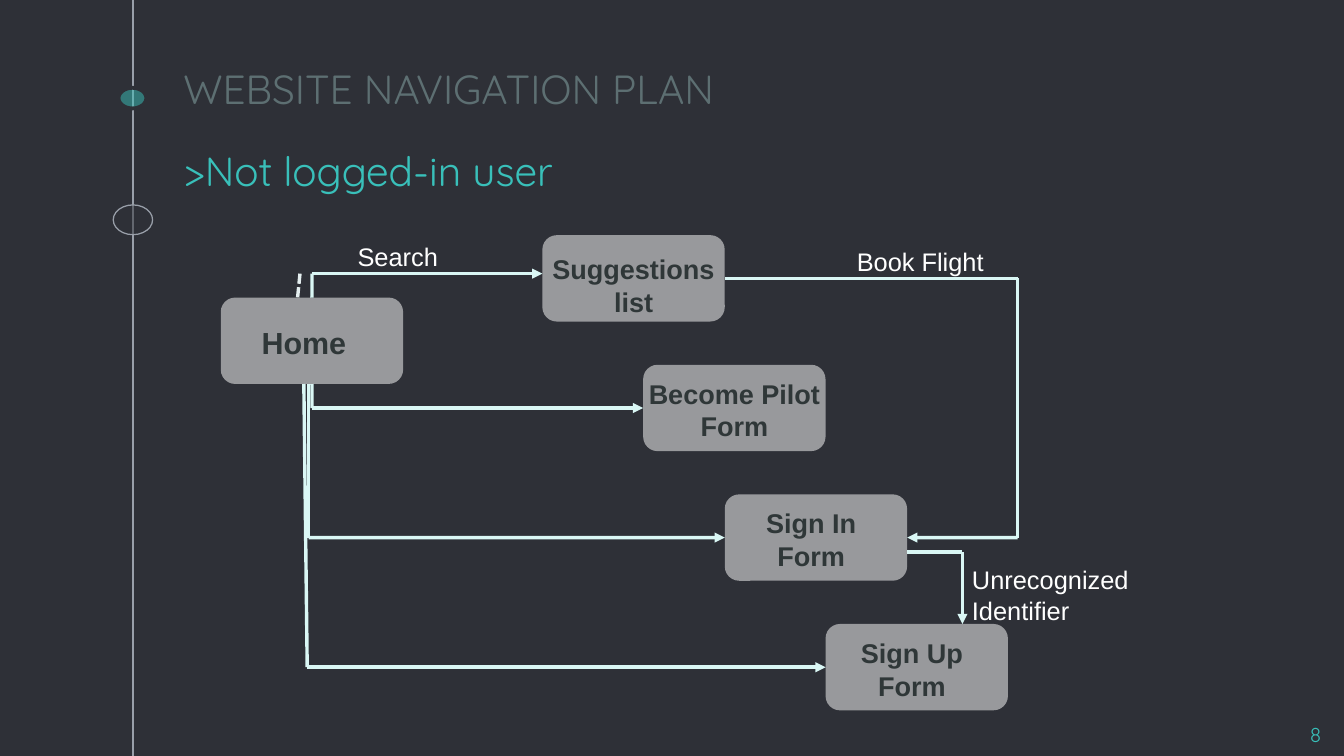
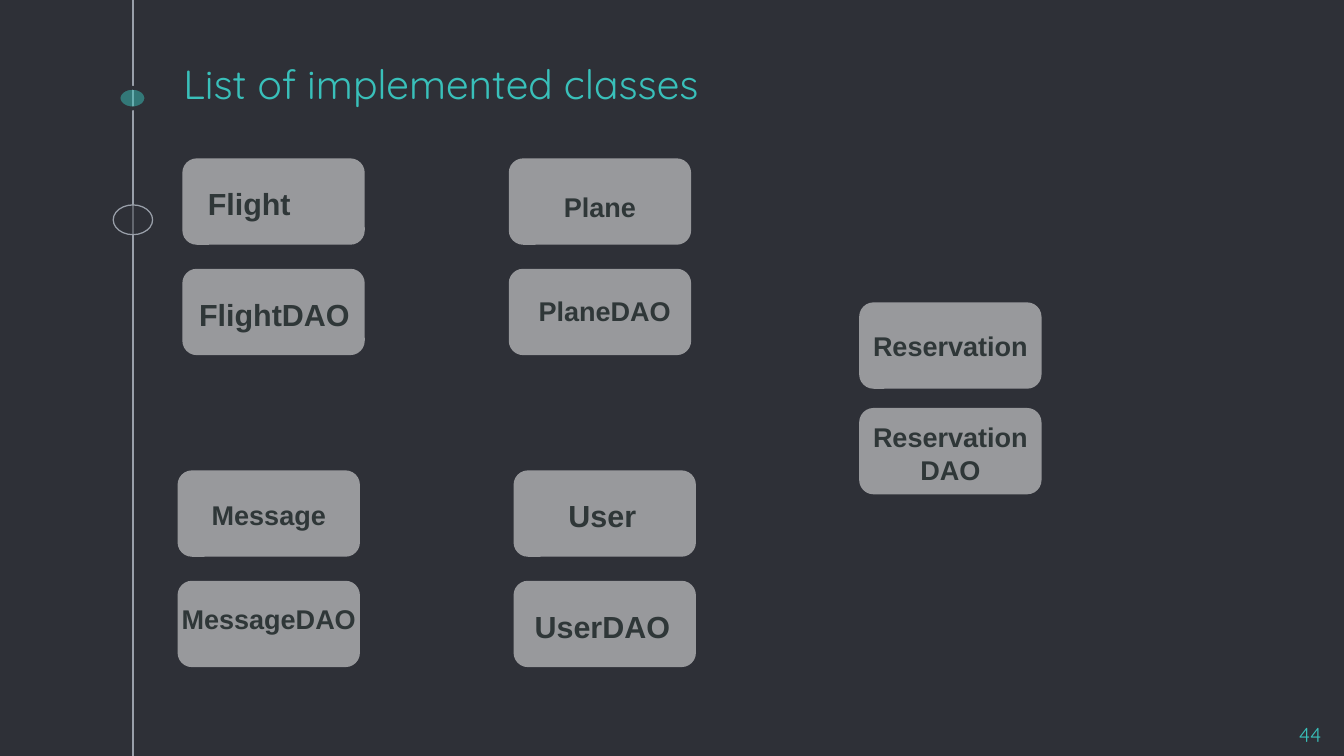
from lxml import etree
from pptx import Presentation
from pptx.dml.color import RGBColor
from pptx.enum import dml, shapes, text
from pptx.oxml.ns import qn
from pptx.util import Cm, Pt

DARK = RGBColor(0x2E, 0x30, 0x37)
TEAL = RGBColor(0x39, 0xC0, 0xBA)
GREY = RGBColor(0x99, 0x9F, 0xA9)
SLATE = RGBColor(0x5D, 0x6F, 0x72)
INK = RGBColor(0x2F, 0x37, 0x38)
WHITE = RGBColor(0xFF, 0xFF, 0xFF)
MINT = RGBColor(0xDA, 0xF7, 0xF5)
PALE = RGBColor(0xE4, 0xEE, 0xEF)

HEAD, BODY = "Quicksand", "Arial"
LEFT, MID, RIGHT = text.PP_ALIGN.LEFT, text.PP_ALIGN.CENTER, text.PP_ALIGN.RIGHT
BOX_W, BOX_H = 3.8, 1.8
TOP, WEST, LOW, EAST = range(4)


def write(frame, words, size=16, color=INK, font=BODY, bold=False,
          align=LEFT, anchor=text.MSO_ANCHOR.TOP, inset=(0.25, 0.13)):
    """Fill a text frame, one paragraph per line of words."""
    frame.word_wrap = True
    frame.auto_size = text.MSO_AUTO_SIZE.NONE
    frame.vertical_anchor = anchor
    frame.margin_left = frame.margin_right = Cm(inset[0])
    frame.margin_top = frame.margin_bottom = Cm(inset[1])
    frame.text = words
    for par in frame.paragraphs:
        par.alignment = align
        face = par.font
        face.name, face.size, face.bold = font, Pt(size), bold
        face.color.rgb = color


class Deck:
    def __init__(self):
        self.prs = Presentation()
        self.prs.slide_width, self.prs.slide_height = Cm(28), Cm(15.75)
        fill = self.prs.slide_master.background.fill
        fill.solid()
        fill.fore_color.rgb = DARK
        self.layout = self.prs.slide_layouts[5]
        self.slide = None

    def page(self, title, number, y, color=TEAL):
        first = self.slide is None
        self.slide = self.prs.slides.add_slide(self.layout)
        if first:
            self.rail()
        self.head(title, y, color, self.slide.shapes.title)
        self.label(number, 26.1, 14.8, 1.68, 0.95, size=12, color=TEAL,
                   font=HEAD, align=RIGHT, inset=(0.25, 0.25))

    def rail(self):
        """Draw the timeline and hand it to the shared layout."""
        parts = [
            self.line((2.77, 0), (2.77, 15.75), GREY, 0.75),
            self.shape("OVAL", 2.47, 1.83, 0.58, 0.43, TEAL, 50, DARK, 2.25),
            self.shape("OVAL", 2.36, 4.27, 0.82, 0.62, DARK, 50, GREY, 0.75),
        ]
        for num, part in enumerate(parts, 91):
            part.element.xpath(".//p:cNvPr")[0].set("id", str(num))
            self.layout.shapes.element.append(part.element)

    def head(self, words, y, color=TEAL, holder=None):
        if holder is None:
            holder = self.slide.shapes.add_textbox(0, 0, 0, 0)
        holder.left, holder.top = Cm(3.57), Cm(y)
        holder.width, holder.height = Cm(21), Cm(1.07)
        write(holder.text_frame, words, size=24, color=color, font=HEAD,
              anchor=text.MSO_ANCHOR.BOTTOM, inset=(0.25, 0.25))

    def label(self, words, x, y, w, h, **look):
        box = self.slide.shapes.add_textbox(Cm(x), Cm(y), Cm(w), Cm(h))
        write(box.text_frame, words, **look)

    def shape(self, kind, x, y, w, h, color, alpha, edge=None, width=0):
        item = self.slide.shapes.add_shape(
            shapes.MSO_SHAPE[kind], Cm(x), Cm(y), Cm(w), Cm(h))
        item.shadow.inherit = False
        item.fill.solid()
        item.fill.fore_color.rgb = color
        tint = item.element.spPr.find(qn("a:solidFill"))[0]
        etree.SubElement(tint, qn("a:alpha"), val=str(alpha * 1000))
        if edge is None:
            item.line.fill.background()
        else:
            item.line.color.rgb, item.line.width = edge, Pt(width)
        return item

    def node(self, words, x, y, dx=-0.3, dy=0.13, w=4.4, h=1.5,
             size=16, align=MID):
        """Rounded box whose label sits at an offset from its corner."""
        box = self.shape("ROUNDED_RECTANGLE", x, y, BOX_W, BOX_H, WHITE, 51)
        self.label(words, x + dx, y + dy, w, h, size=size, bold=True,
                   align=align)
        return box

    def line(self, start, end, color=MINT, width=0, arrow=False, dash=False):
        ends = [Cm(v) for v in (*start, *end)]
        item = self.slide.shapes.add_connector(
            shapes.MSO_CONNECTOR.STRAIGHT, *ends)
        item.line.color.rgb, item.line.width = color, Pt(width)
        if dash:
            item.line.dash_style = dml.MSO_LINE.SQUARE_DOT
        props = item.element.spPr
        if arrow:
            etree.SubElement(props.find(qn("a:ln")), qn("a:tailEnd"),
                             type="triangle")
        etree.SubElement(props, qn("a:effectLst"))
        return item

    def route(self, *points, start=None, end=None):
        """Straight legs through the points, with an arrow on the last."""
        last = len(points) - 2
        legs = [self.line(a, b, arrow=i == last)
                for i, (a, b) in enumerate(zip(points, points[1:]))]
        if start:
            legs[0].begin_connect(*start)
        if end:
            legs[-1].end_connect(*end)


def plan(deck):
    deck.page("WEBSITE NAVIGATION PLAN", "8", 1.52, SLATE)
    deck.head(">Not logged-in user", 3.23)

    # Pages of the site
    home = deck.node("Home", 4.6, 6.2, 0.6, 0.43, 2.4, 1.07, 18, LEFT)
    hints = deck.node("Suggestions\nlist", 11.3, 4.9, dy=0.23)
    pilot = deck.node("Become Pilot Form", 13.4, 7.6)
    enter = deck.node("Sign In\nForm", 15.1, 10.3, dx=-0.4)
    join = deck.node("Sign Up\nForm", 17.2, 13, dx=-0.4)

    # Ways between them
    deck.route((6.5, 8), (6.5, 8.5), (13.4, 8.5),
               start=(home, LOW), end=(pilot, WEST))
    deck.route((6.43, 8), (6.43, 11.2), (15.1, 11.2), end=(enter, WEST))
    deck.route((6.33, 8), (6.4, 13.9), (17.2, 13.9), end=(join, WEST))
    deck.route((6.5, 6.2), (6.5, 5.7), (11.3, 5.7), start=(home, TOP))
    deck.line((6.25, 5.7), (6.2, 6.2), PALE, dash=True)
    deck.route((15.1, 5.8), (21.2, 5.8), (21.2, 11.2), (18.9, 11.2),
               start=(hints, EAST), end=(enter, EAST))
    deck.route((18.9, 11.5), (20.05, 11.5), (20.05, 13))

    # Names of the ways
    for words, x, y, w, h in (
            ("Search", 7.2, 4.9, 2.6, 1),
            ("Book Flight", 17.6, 5, 3.3, 0.9),
            ("Unrecognized Identifier", 20, 11.63, 3.81, 1.5)):
        deck.label(words, x, y, w, h, size=15, color=WHITE)


def classes(deck):
    deck.page("List of implemented classes", "44", 1.42)
    for words, x, y, look in (
            ("Flight", 3.8, 3.3, (0.28, 0.43, 3.2, 0.97, 18, LEFT)),
            ("FlightDAO", 3.8, 5.6, (0.1, 0.43, 3.8, 0.97, 18, LEFT)),
            ("Plane", 10.6, 3.3, (0.6, 0.53, 2.6, 0.9)),
            ("PlaneDAO", 10.6, 5.6, (-0.2, 0.41, 4.4, 0.9)),
            ("Message", 3.7, 9.8, (0.2, 0.46, 3.4, 0.9)),
            ("MessageDAO", 3.7, 12.1, (-0.3, 0.33)),
            ("User", 10.7, 9.8, (-0.1, 0.43, 3.9, 0.97, 18)),
            ("UserDAO", 10.7, 12.1, (-0.1, 0.43, 3.9, 0.97, 18)),
            ("Reservation", 17.9, 6.3, (-0.3, 0.43, 4.4, 0.97)),
            ("Reservation\nDAO", 17.9, 8.5, ())):
        deck.node(words, x, y, *look)


def main():
    deck = Deck()
    plan(deck)
    classes(deck)
    deck.prs.save("out.pptx")


if __name__ == "__main__":
    main()
